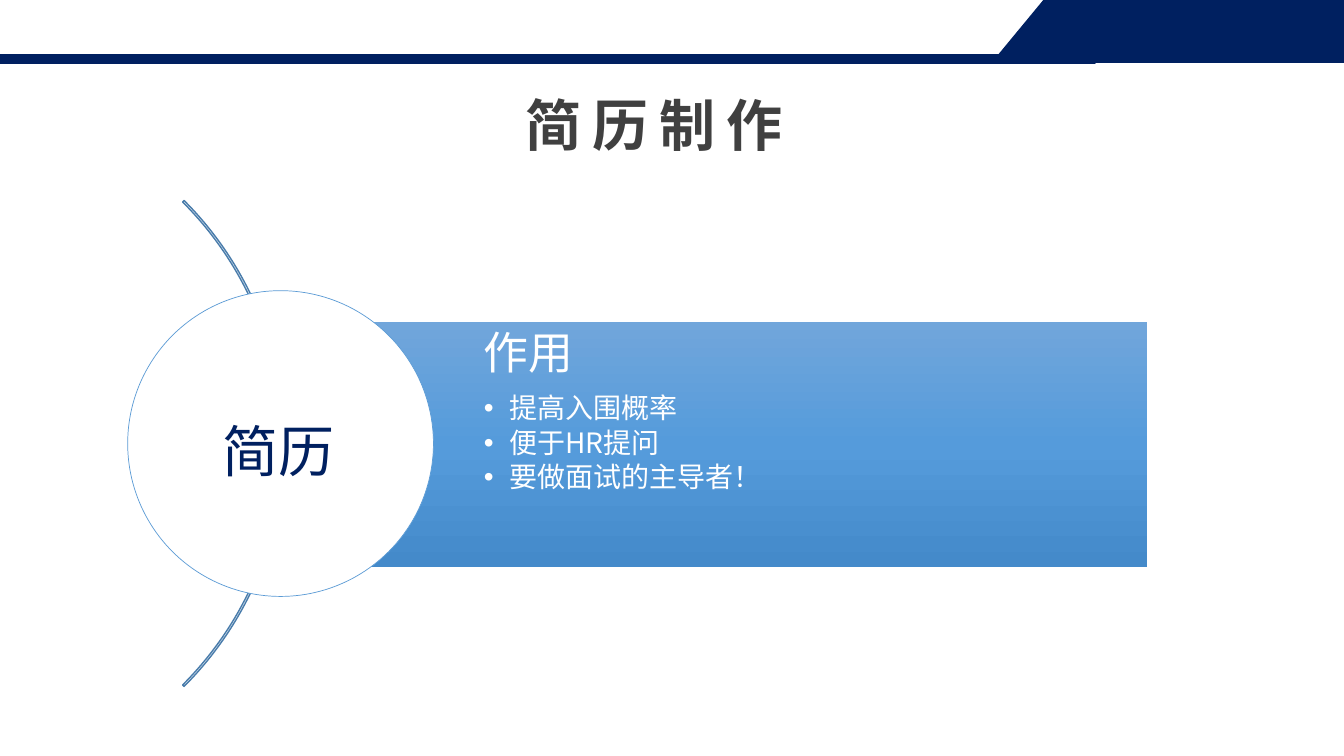
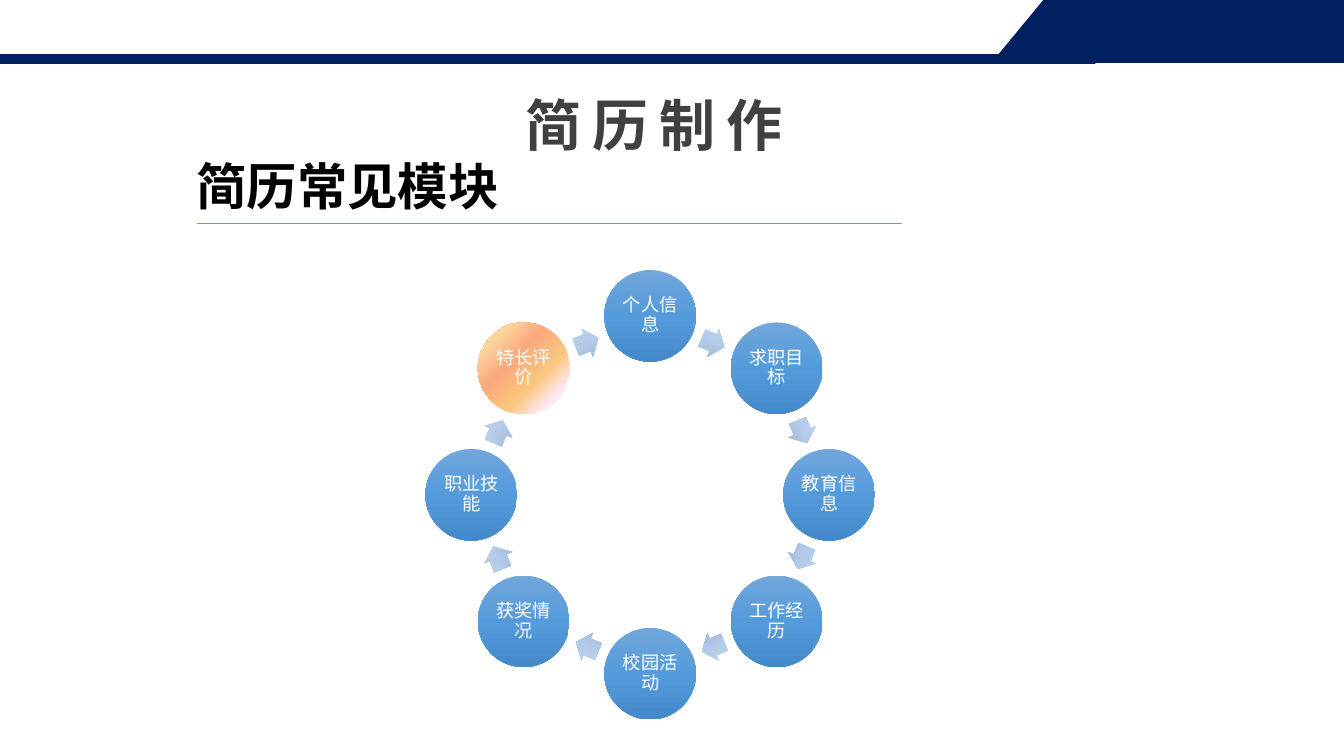
import math
from itertools import chain

from lxml import etree
from pptx import Presentation
from pptx.dml.color import RGBColor
from pptx.enum.shapes import MSO_CONNECTOR, MSO_SHAPE
from pptx.enum.text import MSO_ANCHOR, MSO_AUTO_SIZE, PP_ALIGN
from pptx.oxml.ns import qn
from pptx.util import Emu, Inches, Pt

RECTANGLE, OVAL = MSO_SHAPE.RECTANGLE, MSO_SHAPE.OVAL
BLOCK_ARC, RIGHT_ARROW = MSO_SHAPE.BLOCK_ARC, MSO_SHAPE.RIGHT_ARROW
STRAIGHT = MSO_CONNECTOR.STRAIGHT
LEFT, CENTER = PP_ALIGN.LEFT, PP_ALIGN.CENTER
TOP, MIDDLE = MSO_ANCHOR.TOP, MSO_ANCHOR.MIDDLE
FIXED_SIZE = MSO_AUTO_SIZE.NONE

FONT = "Noto Sans CJK SC"
NAVY = RGBColor(0x00, 0x20, 0x60)
WHITE = RGBColor(0xFF, 0xFF, 0xFF)
BLACK = RGBColor(0x00, 0x00, 0x00)
CHARCOAL = RGBColor(0x40, 0x40, 0x40)
BLUE = RGBColor(0x5B, 0x9B, 0xD5)
STEEL = RGBColor(0x49, 0x7C, 0xAB)
GREEN = RGBColor(0x70, 0xAD, 0x47)
SKY_TOP = RGBColor(0x71, 0xA6, 0xDB)
SKY_MIDDLE = RGBColor(0x55, 0x9B, 0xDB)
SKY_BOTTOM = RGBColor(0x44, 0x8A, 0xCA)
PALE_TOP = RGBColor(0xC0, 0xD2, 0xEB)
PALE_MIDDLE = RGBColor(0xB3, 0xCB, 0xE9)
PALE_BOTTOM = RGBColor(0x9B, 0xB4, 0xD3)
CREAM = RGBColor(0xFB, 0xEA, 0xC7)
PINK = RGBColor(0xFE, 0xE7, 0xF2)
AMBER = RGBColor(0xFA, 0xC7, 0x7D)
CORAL = RGBColor(0xFB, 0xA9, 0x7D)
PEACH = RGBColor(0xFB, 0xD4, 0x9C)

SKY = (90, ((0, SKY_TOP), (50, SKY_MIDDLE), (100, SKY_BOTTOM)))
PALE = (90, ((0, PALE_TOP), (50, PALE_MIDDLE), (100, PALE_BOTTOM)))
SUNRISE = (225, ((0, CREAM), (18, PINK), (36, AMBER),
                 (61, CORAL), (82, PEACH), (100, PINK)))

COLUMNS, ROWS = 16, 9
CELL = Inches(7.5) // ROWS
TITLE_AND_CONTENT, TITLE_ONLY = 1, 5


def grid(*cells):
    return [Emu(round(cell * CELL)) for cell in cells]


def write_text(paragraph, text, size=13, color=WHITE, bold=False, tracking=0,
               align=LEFT, line_spacing=1.0, before=0, after=0):
    paragraph.alignment = align
    paragraph.line_spacing = line_spacing
    paragraph.space_before, paragraph.space_after = Pt(before), Pt(after)
    run = paragraph.add_run()
    run.text = text
    run.font.name, run.font.size, run.font.bold = FONT, Pt(size), bold
    run.font.color.rgb = color
    properties = run._r.get_or_add_rPr()
    etree.SubElement(properties, qn("a:ea"), typeface=FONT)
    if tracking:
        properties.set("spc", str(tracking * 100))


def set_bullet(paragraph, character=None, indent=0):
    properties = paragraph._p.get_or_add_pPr()
    properties.set("marL", str(Inches(indent)))
    properties.set("indent", str(-Inches(indent)))
    if character:
        etree.SubElement(properties, qn("a:buChar"), char=character)
    else:
        etree.SubElement(properties, qn("a:buNone"))


def paint(shape, fill):
    if fill is None:
        shape.fill.background()
    elif isinstance(fill, RGBColor):
        shape.fill.solid()
        shape.fill.fore_color.rgb = fill
    else:
        angle, stops = fill
        shape.fill.gradient()
        shape.fill.gradient_angle = 360 - angle
        stop_list = next(shape.element.iter(qn("a:gsLst")))
        for old_stop in list(stop_list):
            stop_list.remove(old_stop)
        for position, color in stops:
            stop = etree.SubElement(stop_list, qn("a:gs"), pos=str(position * 1000))
            etree.SubElement(stop, qn("a:srgbClr"), val=str(color))


def outline(shape, color, weight):
    if color is None:
        shape.line.fill.background()
    else:
        shape.line.color.rgb = color
        shape.line.width = Pt(weight)


def prepare_frame(shape, insets=(0.12, 0.06, 0.12, 0.06), anchor=TOP):
    frame = shape.text_frame
    frame.word_wrap, frame.auto_size = True, FIXED_SIZE
    frame.vertical_anchor = anchor
    (frame.margin_left, frame.margin_top,
     frame.margin_right, frame.margin_bottom) = grid(*insets)
    return frame


def around(x, y, radius, degrees):
    angle = math.radians(degrees)
    return x + radius * math.sin(angle), y - radius * math.cos(angle)


class Deck:
    def __init__(self):
        self.presentation = Presentation()
        self.presentation.slide_width, self.presentation.slide_height = grid(COLUMNS, ROWS)
        self.slide = None

    def new_slide(self, layout, title):
        first = self.slide is None
        self.slide = self.presentation.slides.add_slide(
            self.presentation.slide_layouts[layout])
        if first:
            self.master_bands()
        self.title(title)

    def master_bands(self):
        corner = self.polygon([(11.82, 0.74), (12.44, -0.01), (16, -0.01), (16, 0.74)],
                              fill=NAVY, line=NAVY, weight=1)
        stripe = self.shape(RECTANGLE, 0, 0.65, 13.04, 0.1,
                            fill=NAVY, line=NAVY, weight=1.5)
        tree = self.presentation.slide_master.shapes.element
        for band in (corner, stripe):
            tree.append(band.element)

    def place(self, shape, *box):
        shape.left, shape.top, shape.width, shape.height = grid(*box)

    def title(self, text):
        title = self.slide.shapes.title
        self.place(title, 5.09, 1.02, 5.39, 0.92)
        write_text(prepare_frame(title).paragraphs[0], text, size=40, color=CHARCOAL,
                   bold=True, tracking=8, align=CENTER)

    def list_panel(self, heading, items, box, insets, fill):
        panel = self.slide.placeholders[1]
        self.place(panel, *box)
        paint(panel, fill)
        frame = prepare_frame(panel, insets)
        write_text(frame.paragraphs[0], heading, size=32, line_spacing=0.9, after=11)
        set_bullet(frame.paragraphs[0])
        for item in items:
            paragraph = frame.add_paragraph()
            paragraph.level = 1
            write_text(paragraph, item, size=20, line_spacing=0.9, after=3)
            set_bullet(paragraph, "•", 0.25)

    def text(self, text, *box, **style):
        frame = prepare_frame(self.slide.shapes.add_textbox(*grid(*box)))
        write_text(frame.paragraphs[0], text, **style)

    def shape(self, kind, *box, fill=None, line=None, weight=1, adjustments=(), rotation=0):
        shape = self.slide.shapes.add_shape(kind, *grid(*box))
        for index, value in enumerate(adjustments):
            shape.adjustments[index] = value
        shape.rotation = rotation
        return self.finish(shape, fill, line, weight)

    def centered(self, kind, x, y, width, height, **style):
        return self.shape(kind, x - width / 2, y - height / 2, width, height, **style)

    def polygon(self, points, fill, line, weight):
        corners = [tuple(grid(*point)) for point in points]
        builder = self.slide.shapes.build_freeform(*corners[0])
        builder.add_line_segments(corners[1:], close=True)
        return self.finish(builder.convert_to_shape(), fill, line, weight)

    def finish(self, shape, fill, line, weight):
        shape.shadow.inherit = False
        paint(shape, fill)
        outline(shape, line, weight)
        return shape

    def line(self, *ends, color, weight):
        connector = self.slide.shapes.add_connector(STRAIGHT, *grid(*ends))
        outline(connector, color, weight)
        etree.SubElement(connector.element.spPr, qn("a:effectLst"))

    def cycle(self, nodes, x, y, node_radius, arrow_radius):
        step = 360 / len(nodes)
        for index, (label, fill) in enumerate(nodes):
            angle = index * step
            node = self.centered(OVAL, *around(x, y, node_radius, angle),
                                 1.09, 1.09, fill=fill)
            frame = prepare_frame(node, (0.02,) * 4, MIDDLE)
            write_text(frame.paragraphs[0], label, align=CENTER, line_spacing=0.9)
            turn = angle + step / 2
            self.centered(RIGHT_ARROW, *around(x, y, arrow_radius, turn), 0.29, 0.36,
                          fill=PALE, adjustments=(0.6, 0.5), rotation=turn)


def purpose_slide(deck):
    middle = 5.28
    deck.new_slide(TITLE_AND_CONTENT, "简历制作")
    deck.list_panel("作用", ["提高入围概率", "便于HR提问", "要做面试的主导者！"],
                    box=(3.35, 3.83, 10.31, 2.92),
                    insets=(2.41, 0.11, 0.11, 0.11), fill=SKY)
    deck.centered(BLOCK_ARC, -0.7, middle, 8.18, 8.18, line=STEEL,
                  adjustments=(189, 27, 0.003))
    deck.centered(OVAL, 3.34, middle, 3.64, 3.64, fill=WHITE, line=BLUE, weight=0.5)
    deck.text("简历", 2.04, 4.66, 2.54, 1.07, size=40, color=NAVY, align=CENTER,
              line_spacing=1.3, before=6)


def modules_slide(deck):
    deck.new_slide(TITLE_ONLY, "简历制作")
    deck.text("简历常见模块", 2.22, 1.79, 7.6, 1.5, size=36, color=BLACK, bold=True)
    deck.line(2.34, 2.66, 10.74, 2.66, color=GREEN, weight=0.5)
    modules = ["个人信息", "求职目标", "教育信息", "工作经历", "校园活动", "获奖情况", "职业技能"]
    nodes = list(chain(((module, SKY) for module in modules), [("特长评价", SUNRISE)]))
    deck.cycle(nodes, x=7.74, y=5.89, node_radius=2.13, arrow_radius=1.96)


def main():
    deck = Deck()
    purpose_slide(deck)
    modules_slide(deck)
    deck.presentation.save("out.pptx")


if __name__ == "__main__":
    main()
